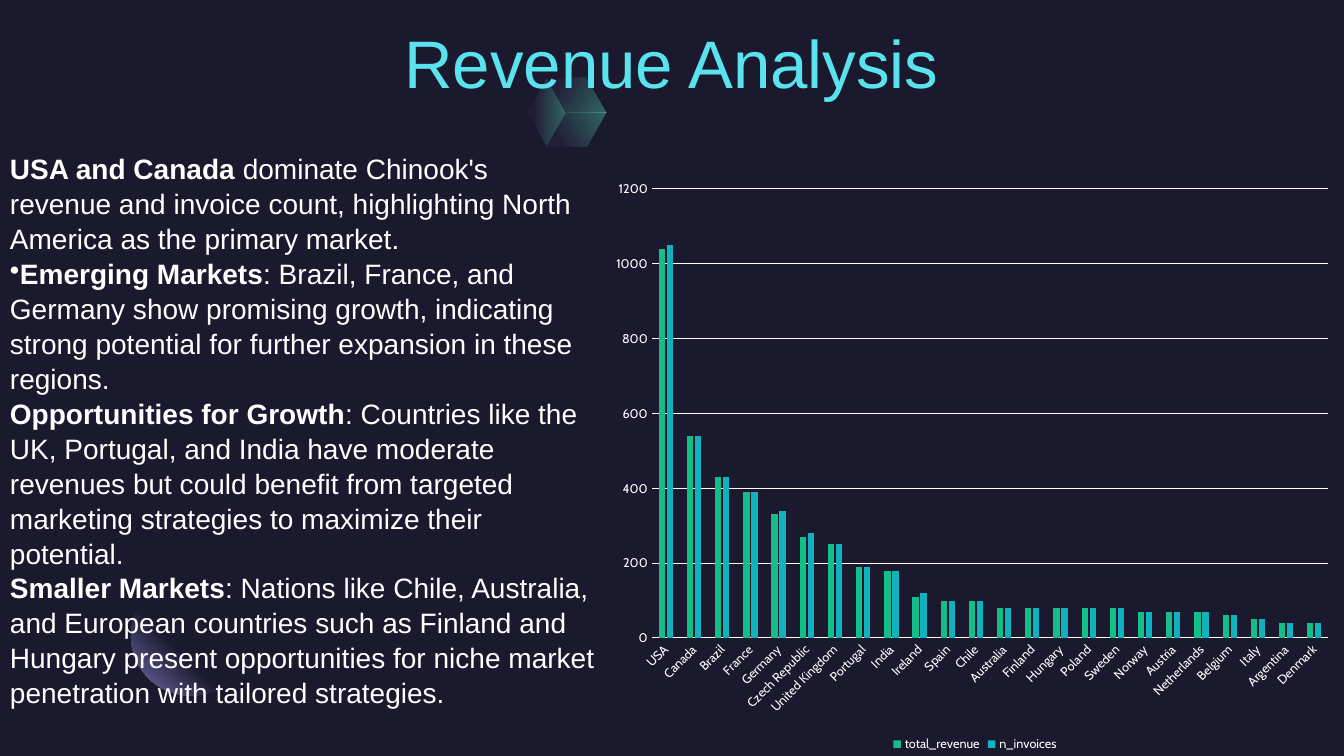
"""Build the Revenue Analysis slide."""
from lxml import etree
from pptx import Presentation
from pptx.chart.data import CategoryChartData
from pptx.dml.color import RGBColor
from pptx.enum.chart import XL_CHART_TYPE as ChartType, XL_LEGEND_POSITION as LegendPos, XL_TICK_MARK as Tick
from pptx.enum.shapes import MSO_SHAPE as Shape
from pptx.enum.text import MSO_ANCHOR as Anchor, MSO_AUTO_SIZE as AutoSize, PP_ALIGN as Align
from pptx.oxml import parse_xml
from pptx.oxml.ns import nsdecls, qn
from pptx.util import Inches, Pt

TITLE = "Revenue Analysis"
POINTS = [
    ("USA and Canada", " dominate Chinook's revenue and invoice count, highlighting North America "
     "as the primary market.", False),
    ("Emerging Markets", ": Brazil, France, and Germany show promising growth, indicating strong "
     "potential for further expansion in these regions.", True),
    ("Opportunities for Growth", ": Countries like the UK, Portugal, and India have moderate revenues "
     "but could benefit from targeted marketing strategies to maximize their potential.", False),
    ("Smaller Markets", ": Nations like Chile, Australia, and European countries such as Finland and "
     "Hungary present opportunities for niche market penetration with tailored strategies.", False),
]
COUNTRIES = ["USA", "Canada", "Brazil", "France", "Germany", "Czech Republic", "United Kingdom",
             "Portugal", "India", "Ireland", "Spain", "Chile", "Australia", "Finland", "Hungary",
             "Poland", "Sweden", "Norway", "Austria", "Netherlands", "Belgium", "Italy",
             "Argentina", "Denmark"]
SERIES = {
    "total_revenue": [1040, 540, 430, 390, 330, 270, 250, 190, 180, 110, 100, 100,
                      80, 80, 80, 80, 80, 70, 70, 70, 60, 50, 40, 40],
    "n_invoices": [1050, 540, 430, 390, 340, 280, 250, 190, 180, 120, 100, 100,
                   80, 80, 80, 80, 80, 70, 70, 70, 60, 50, 40, 40],
}
CUBE_FACES = [
    (30, [(5.81, 0.77), (5.42, 0.78), (5.61, 1.12), (6.01, 1.12)]),
    (0, [(5.42, 1.45), (5.23, 1.11), (5.42, 0.78), (5.61, 1.12)]),
    (330, [(6.01, 1.12), (5.82, 1.45), (5.42, 1.45), (5.61, 1.12)]),
]
BOXES = {
    "title": (0.75, 0.22, 11.82, 0.8),
    "moon": (1.3, 5.72, 1.18, 1.18),
    "chart": (6.01, 0, 7.32, 7.5),
    "points": (0, 1.52, 6.02, 5.49),
}
PLOT = {"x": 0.062, "y": 0.25, "w": 0.917, "h": 0.594}
THEME = {
    "bg": "1B192E", "title": "5AE3EF", "text": "FFFFFF",
    "cube": [(20, "2C284A", 36), (100, "5BEFC1", 36)],
    "moon": [(60, "1B192E", 100), (100, "7771B2", 100)],
    "series": ["13BE89", "12B1BF"],
    "font": "Arial", "chart_font": "Cabin",
    "title_size": 48, "text_size": 20, "chart_size": 10, "label_size": 9, "line": 0.75,
}


def rgb(name):
    return RGBColor.from_string(THEME[name])


def box(name):
    return [Inches(v) for v in BOXES[name]]


def apply(target, **values):
    for key, value in values.items():
        setattr(target, key, value)


def set_font(font, face, size, color, **extra):
    apply(font, name=THEME[face], size=Pt(THEME[size]), **extra)
    font.color.rgb = rgb(color)


def set_line(line):
    line.color.rgb = rgb("text")
    line.width = Pt(THEME["line"])


def set_gradient(sp, stops, direction):
    gs = "".join(
        f'<a:gs pos="{pos * 1000}"><a:srgbClr val="{color}"><a:alpha val="{alpha * 1000}"/>'
        f"</a:srgbClr></a:gs>" for pos, color, alpha in stops)
    sp.shadow.inherit = False
    sp.line.fill.background()
    sp.fill.background()
    old = sp.element.spPr.find(qn("a:noFill"))
    old.getparent().replace(old, parse_xml(
        f'<a:gradFill {nsdecls("a")} rotWithShape="1"><a:gsLst>{gs}</a:gsLst>{direction}</a:gradFill>'))


def add_decor(s):
    for angle, corners in CUBE_FACES:
        pts = [(Inches(x), Inches(y)) for x, y in corners]
        builder = s.shapes.build_freeform(*pts[0])
        builder.add_line_segments(pts[1:], close=True)
        set_gradient(builder.convert_to_shape(), THEME["cube"], f'<a:lin ang="{angle * 60000}" scaled="0"/>')
    moon = s.shapes.add_shape(Shape.OVAL, *box("moon"))
    set_gradient(moon, THEME["moon"],
                 '<a:path path="circle"><a:fillToRect l="100000" b="100000"/></a:path>')


def add_title(s):
    title = s.shapes.title
    apply(title, **dict(zip(("left", "top", "width", "height"), box("title"))))
    s.shapes.element.append(title.element)
    tf = title.text_frame
    apply(tf, text=TITLE, vertical_anchor=Anchor.BOTTOM, word_wrap=True,
          margin_left=0, margin_top=0, margin_right=0, margin_bottom=0)
    p = tf.paragraphs[0]
    apply(p, alignment=Align.CENTER, line_spacing=0.9)
    set_font(p.runs[0].font, "font", "title_size", "title")


def add_chart(s):
    data = CategoryChartData()
    data.categories = COUNTRIES
    for name, values in SERIES.items():
        data.add_series(name, values)
    chart = s.shapes.add_chart(ChartType.COLUMN_CLUSTERED, *box("chart"), data).chart
    apply(chart, has_title=False, has_legend=True)
    set_font(chart.font, "chart_font", "chart_size", "text")
    apply(chart.legend, position=LegendPos.BOTTOM, include_in_layout=False)
    set_font(chart.legend.font, "chart_font", "label_size", "text")
    plot = chart.plots[0]
    apply(plot, gap_width=219, overlap=-27, vary_by_categories=False)
    for series, color in zip(plot.series, THEME["series"]):
        series.format.fill.solid()
        series.format.fill.fore_color.rgb = RGBColor.from_string(color)
    for axis in (chart.category_axis, chart.value_axis):
        apply(axis, major_tick_mark=Tick.NONE, minor_tick_mark=Tick.NONE)
        set_font(axis.tick_labels.font, "chart_font", "label_size", "text")
    set_line(chart.category_axis.format.line)
    apply(chart.value_axis, minimum_scale=0, maximum_scale=1200, major_unit=200)
    chart.value_axis.format.line.fill.background()
    set_line(chart.value_axis.major_gridlines.format.line)
    area = next(chart.element.iter(qn("c:plotArea")))
    labels = area.find(qn("c:catAx")).find(qn("c:txPr"))
    labels.find(qn("a:bodyPr")).set("rot", "-2700000")
    place_plot(area)


def place_plot(area):
    for old in area.findall(qn("c:layout")):
        area.remove(old)
    layout = etree.Element(qn("c:layout"))
    manual = etree.SubElement(layout, qn("c:manualLayout"))
    settings = {"layoutTarget": "inner", "xMode": "edge", "yMode": "edge", **PLOT}
    for key, value in settings.items():
        etree.SubElement(manual, qn(f"c:{key}")).set("val", str(value))
    area.insert(0, layout)


def add_points(s):
    sp = s.shapes.add_textbox(*box("points"))
    tf = sp.text_frame
    apply(tf, word_wrap=True, vertical_anchor=Anchor.MIDDLE, auto_size=AutoSize.SHAPE_TO_FIT_TEXT)
    for i, (lead, rest, bullet) in enumerate(POINTS):
        p = tf.add_paragraph() if i else tf.paragraphs[0]
        p.line_spacing = 1.04
        for text, bold in ((lead, True), (rest, False)):
            r = p.add_run()
            r.text = text
            set_font(r.font, "font", "text_size", "text", bold=bold)
        if bullet:
            pPr = list(sp.element.iter(qn("a:pPr")))[-1]
            for key in ("marL", "indent"):
                pPr.set(key, "0")
            etree.SubElement(pPr, qn("a:buChar")).set("char", "•")


def main():
    prs = Presentation()
    apply(prs, slide_width=Inches(13.33), slide_height=Inches(7.5))
    s = prs.slides.add_slide(prs.slide_layouts[5])
    s.background.fill.solid()
    s.background.fill.fore_color.rgb = rgb("bg")
    add_decor(s)
    add_title(s)
    add_chart(s)
    add_points(s)
    prs.save("out.pptx")


if __name__ == "__main__":
    main()
